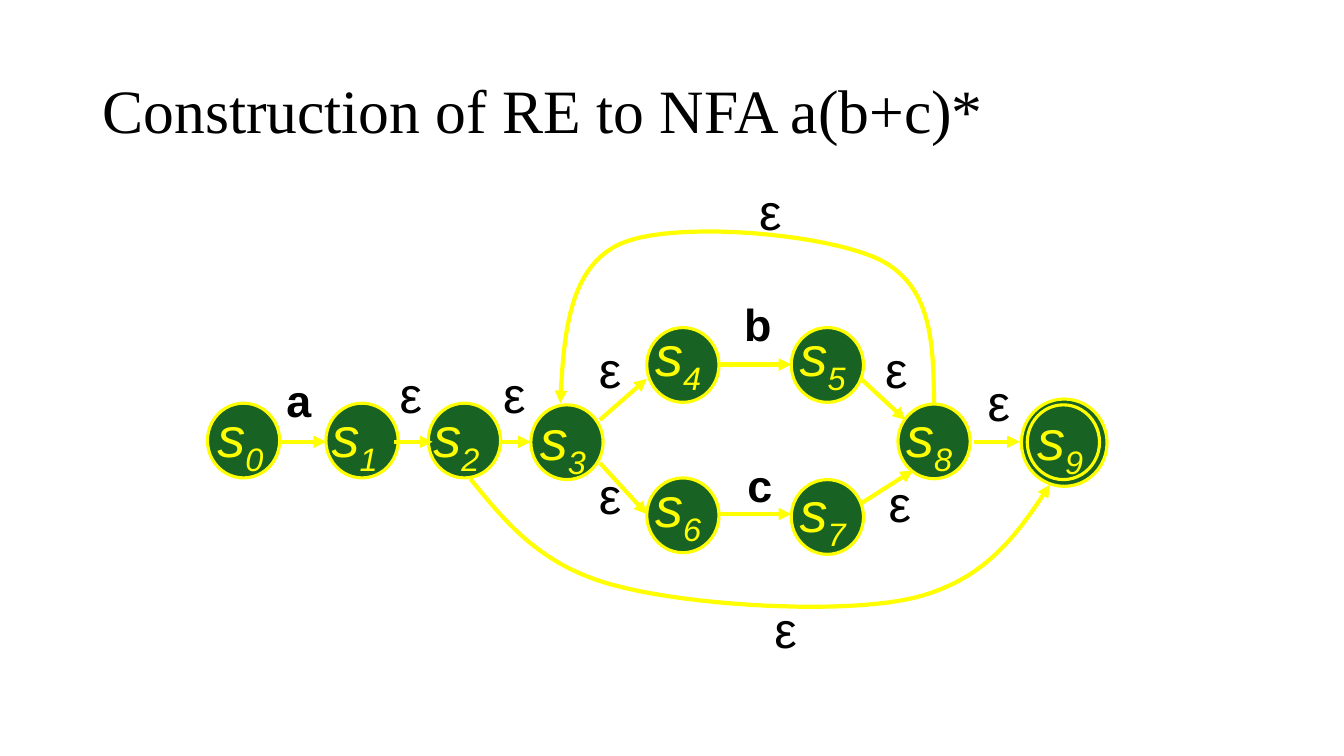
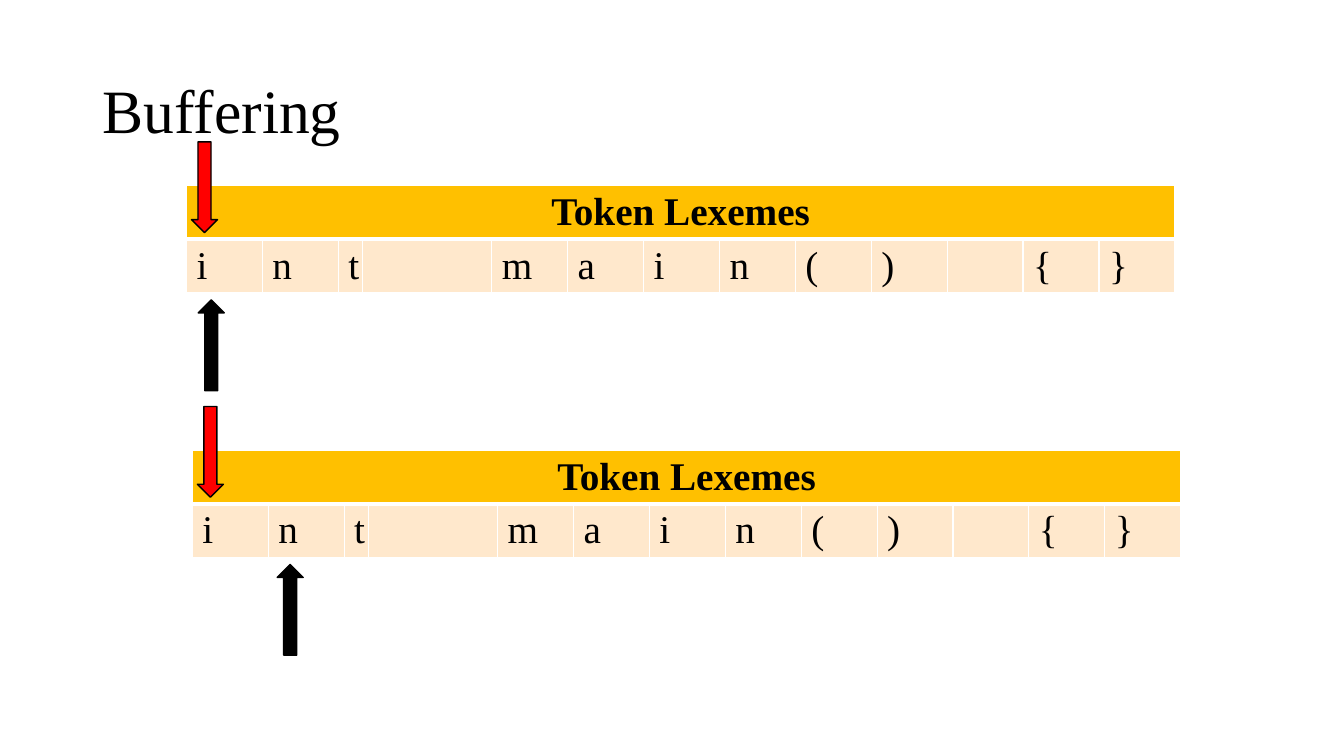
"""Build two slides on automata and input buffers."""
import lxml.etree
import pptx
import pptx.dml.color
import pptx.enum.shapes
import pptx.enum.text
import pptx.oxml.ns
import pptx.util

RGB = pptx.dml.color.RGBColor
SHAPE = pptx.enum.shapes.MSO_SHAPE
ALIGN = pptx.enum.text.PP_ALIGN
BLACK = RGB(0x00, 0x00, 0x00)
WHITE = RGB(0xFF, 0xFF, 0xFF)
GREEN = RGB(0x18, 0x62, 0x24)
YELLOW = RGB(0xFF, 0xFF, 0x00)
RED = RGB(0xFF, 0x00, 0x00)
GOLD = RGB(0xFF, 0xC0, 0x00)
CREAM = RGB(0xFF, 0xE8, 0xCC)
SANS, SERIF = "Arial", "Times New Roman"

WIDTH, HEIGHT = pptx.util.Inches(13.33), pptx.util.Inches(7.5)
COL, ROW = WIDTH / 160, HEIGHT / 90
NODE = (8.6, 8.9)
RING = (121.6, 47.5, 10.2, 10.4)
STATES = [
    (24.7, 48, 0, 0), (38.8, 48, -0.5, 0), (51, 48, -0.6, 0),
    (63.2, 48.2, -0.1, 0.2), (77, 39, -0.2, -0.6), (94.2, 39, -0.2, -0.6),
    (77, 56.9, -0.2, -0.5), (94.2, 57.1, -0.2, -0.1),
    (106.9, 48.1, -0.2, -0.1), (122.3, 48.2, 0, 0.2),
]
EDGES = [
    (33.2, 52.6, 38.8, 52.6), (46.9, 52.6, 51.5, 52.6),
    (59.6, 52.6, 63.2, 52.6), (115.9, 52.6, 121.4, 52.6),
    (85.7, 43.4, 94.2, 43.4), (85.7, 61.2, 94.2, 61.2),
    (71.4, 50, 77, 45.1), (71.4, 55.1, 77, 61.2),
    (102.4, 45, 107.8, 50), (102.4, 60, 108.7, 56),
]
BACK = [(111.2, 48), (111.1, 41), (111, 34.2), (104.9, 31), (98.6, 27.8),
        (80.3, 26.2), (73.9, 29), (67.6, 31.8), (67.1, 40), (66.7, 48)]
SKIP = [(56, 57), (60.2, 62.2), (64.4, 67.4), (73.2, 69.7), (82.1, 72.1),
        (100.1, 73.2), (108.7, 71.2), (117.4, 69.1), (121.2, 63.5), (125, 57.7)]
EMPTY = [(89.2, 22.2), (116.4, 45), (46.4, 44), (58.7, 44), (70.1, 41),
         (70.1, 56), (104.6, 57), (104.2, 41), (91, 72)]
INPUTS = [("a", 32.9, 45), ("b", 87.4, 36), ("c", 87.8, 55.1)]
CHARS = ["i", "n", "t", "", "m", "a", "i", "n", "(", ")", "", "{", "}"]
SPANS = [9.04, 9.04, 2.8, 15.4] + [9.04] * 9


def grid(x, y, *size):
    """Turn columns and rows into slide lengths."""
    return [round(n * (ROW if i % 2 else COL)) for i, n in enumerate((x, y, *size))]


def style(run, face, size, color, bold=False, slant=False):
    """Format one run of text."""
    font = run.font
    font.name, font.size = face, pptx.util.Pt(size)
    font.bold, font.italic = bold, slant
    font.color.rgb = color


def start(deck, title):
    """Add a slide with its title."""
    slide = deck.slides.add_slide(deck.slide_layouts[5])
    head = slide.shapes.title
    head.left, head.top, head.width, head.height = grid(11, 4.8, 138, 17.4)
    frame = head.text_frame
    frame.text = title
    frame.vertical_anchor = pptx.enum.text.MSO_ANCHOR.MIDDLE
    para = frame.paragraphs[0]
    para.alignment, para.line_spacing = ALIGN.LEFT, 0.9
    style(para.runs[0], SERIF, 44, BLACK)
    return slide


def label(slide, text, box, size, color=BLACK, bold=False, slant=False):
    """Add a short text and return its paragraph."""
    frame = slide.shapes.add_textbox(*grid(*box)).text_frame
    frame.word_wrap = True
    frame.text = text
    para = frame.paragraphs[0]
    para.line_spacing = 0.8
    style(para.runs[0], SANS, size, color, bold, slant)
    return para


def solid(slide, kind, box, fill, edge, weight):
    """Add a filled and outlined shape."""
    shape = slide.shapes.add_shape(kind, *grid(*box))
    shape.shadow.inherit = False
    shape.fill.solid()
    shape.fill.fore_color.rgb = fill
    shape.line.color.rgb = edge
    shape.line.width = pptx.util.Pt(weight)


def state(slide, index, x, y, dx, dy):
    """Add a numbered state."""
    solid(slide, SHAPE.OVAL, (x, y, *NODE), GREEN, YELLOW, 2.25)
    para = label(slide, "s", (x + dx, y + dy, 9.4, 7.6), 40, YELLOW, slant=True)
    sub = para.add_run()
    sub.text = str(index)
    style(sub, SANS, 40, YELLOW, slant=True)
    sub.font._element.set("baseline", "-25000")


def point(shape):
    """Give a line its colour, weight and arrowhead."""
    shape.line.color.rgb = YELLOW
    shape.line.width = pptx.util.Pt(3)
    tail = pptx.oxml.ns.qn("a:tailEnd")
    lxml.etree.SubElement(shape.line._get_or_add_ln(), tail, type="triangle")


def edge(slide, x, y, end, low):
    """Add a straight arrow."""
    kind = pptx.enum.shapes.MSO_CONNECTOR.STRAIGHT
    line = slide.shapes.add_connector(kind, *grid(x, y, end, low))
    point(line)
    lxml.etree.SubElement(line._element.spPr, pptx.oxml.ns.qn("a:effectLst"))


def bend(a, b, c, d, t):
    """Return the place at share t of a cubic curve."""
    s = 1 - t
    return [s**3 * p + 3 * s * s * t * q + 3 * s * t * t * r + t**3 * e
            for p, q, r, e in zip(a, b, c, d)]


def curve(slide, knots, steps=20):
    """Add a curved arrow through joined cubic arcs."""
    dots = [grid(*bend(*knots[i:i + 4], n / steps))
            for i in range(0, len(knots) - 1, 3) for n in range(1, steps + 1)]
    form = slide.shapes.build_freeform(*grid(*knots[0]))
    form.add_line_segments(dots, close=False)
    shape = form.convert_to_shape()
    shape.shadow.inherit = False
    shape.fill.background()
    point(shape)


def paint(cell, fill, top, low):
    """Set the borders and fill of a cell."""
    props = cell._tc.get_or_add_tcPr()
    for side, weight in zip("LRTB", (1, 1, top, low)):
        line = lxml.etree.SubElement(props, pptx.oxml.ns.qn("a:ln" + side),
                                     w=str(pptx.util.Pt(weight)))
        ink = lxml.etree.SubElement(line, pptx.oxml.ns.qn("a:solidFill"))
        lxml.etree.SubElement(ink, pptx.oxml.ns.qn("a:srgbClr"), val=str(WHITE))
    cell.fill.solid()
    cell.fill.fore_color.rgb = fill


def write(cell, text, bold=False):
    """Put text in a cell."""
    cell.text_frame.text = text
    for run in cell.text_frame.paragraphs[0].runs:
        style(run, SERIF, 28, BLACK, bold)


def buffer(slide, x, y, ahead):
    """Add a buffer table with its two pointers."""
    box = grid(x, y, sum(SPANS), 10)
    table = slide.shapes.add_table(2, len(CHARS), *box).table
    for i, (char, span) in enumerate(zip(CHARS, SPANS)):
        table.columns[i].width = round(span * COL)
        paint(table.cell(0, i), GOLD, 1, 3)
        paint(table.cell(1, i), CREAM, 3, 1)
        write(table.cell(1, i), char)
    head = table.cell(0, 0)
    head.merge(table.cell(0, len(CHARS) - 1))
    write(head, "Token Lexemes", bold=True)
    head.text_frame.paragraphs[0].alignment = ALIGN.CENTER
    solid(slide, SHAPE.UP_ARROW, (x + ahead, y + 13.6, 3.1, 10.8), BLACK, BLACK, 1)
    solid(slide, SHAPE.DOWN_ARROW, (x + 0.6, y - 5.2, 3.1, 10.8), RED, BLACK, 1)


def graph(deck):
    """Add the automaton slide."""
    slide = start(deck, "Construction of RE to NFA a(b+c)*")
    solid(slide, SHAPE.OVAL, RING, GREEN, YELLOW, 2.25)
    for index, place in enumerate(STATES):
        state(slide, index, *place)
    for ends in EDGES:
        edge(slide, *ends)
    for knots in (BACK, SKIP):
        curve(slide, knots)
    for x, y in EMPTY:
        label(slide, "ε", (x, y, 6.8, 7), 36)
    for char, x, y in INPUTS:
        label(slide, char, (x, y, 6.8, 6.4), 32, bold=True)


def main():
    """Build and save the deck."""
    deck = pptx.Presentation()
    deck.slide_width, deck.slide_height = WIDTH, HEIGHT
    graph(deck)
    slide = start(deck, "Buffering")
    buffer(slide, 22.2, 22.1, 1.4)
    buffer(slide, 22.9, 53.6, 10.1)
    deck.save("out.pptx")


if __name__ == "__main__":
    main()
